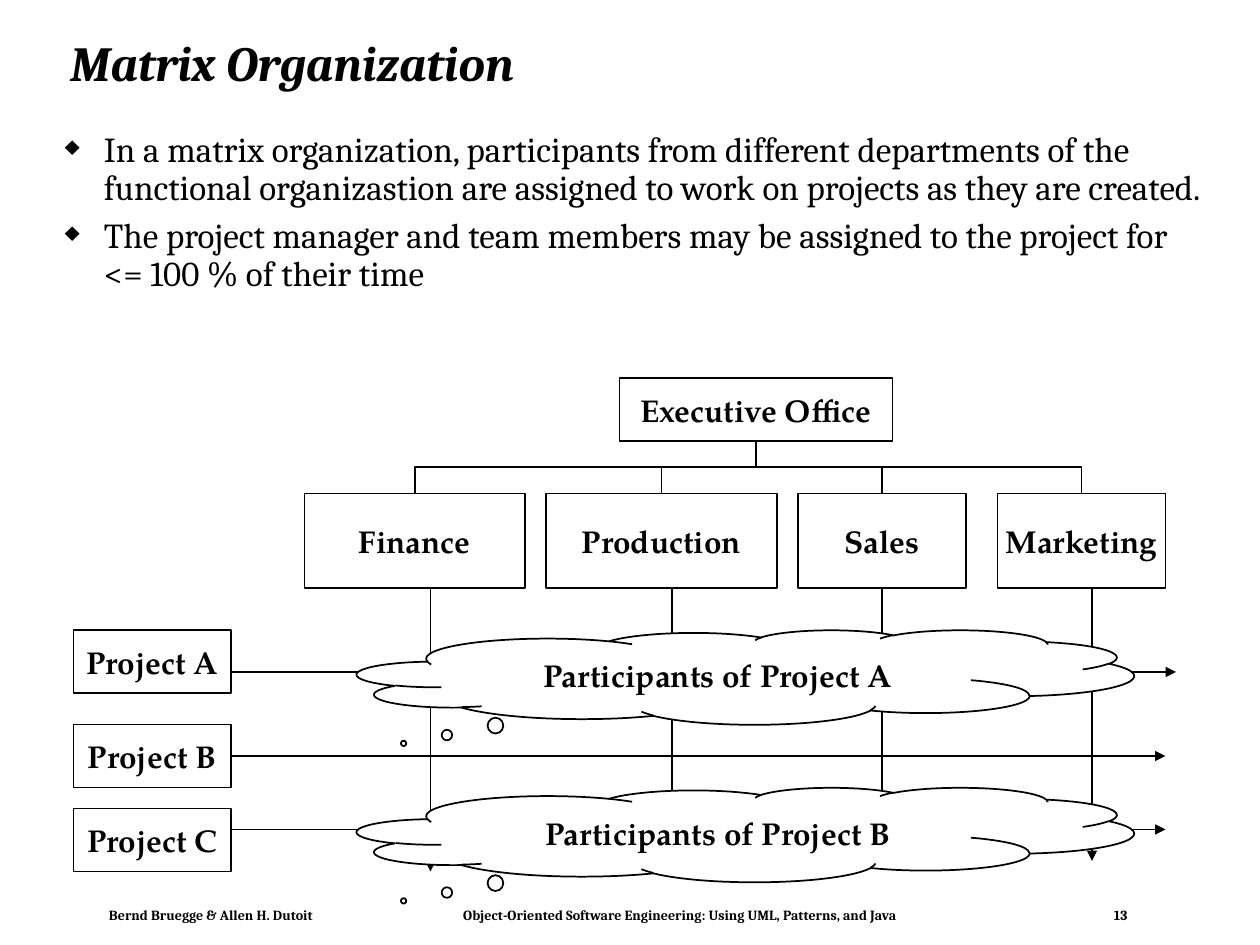
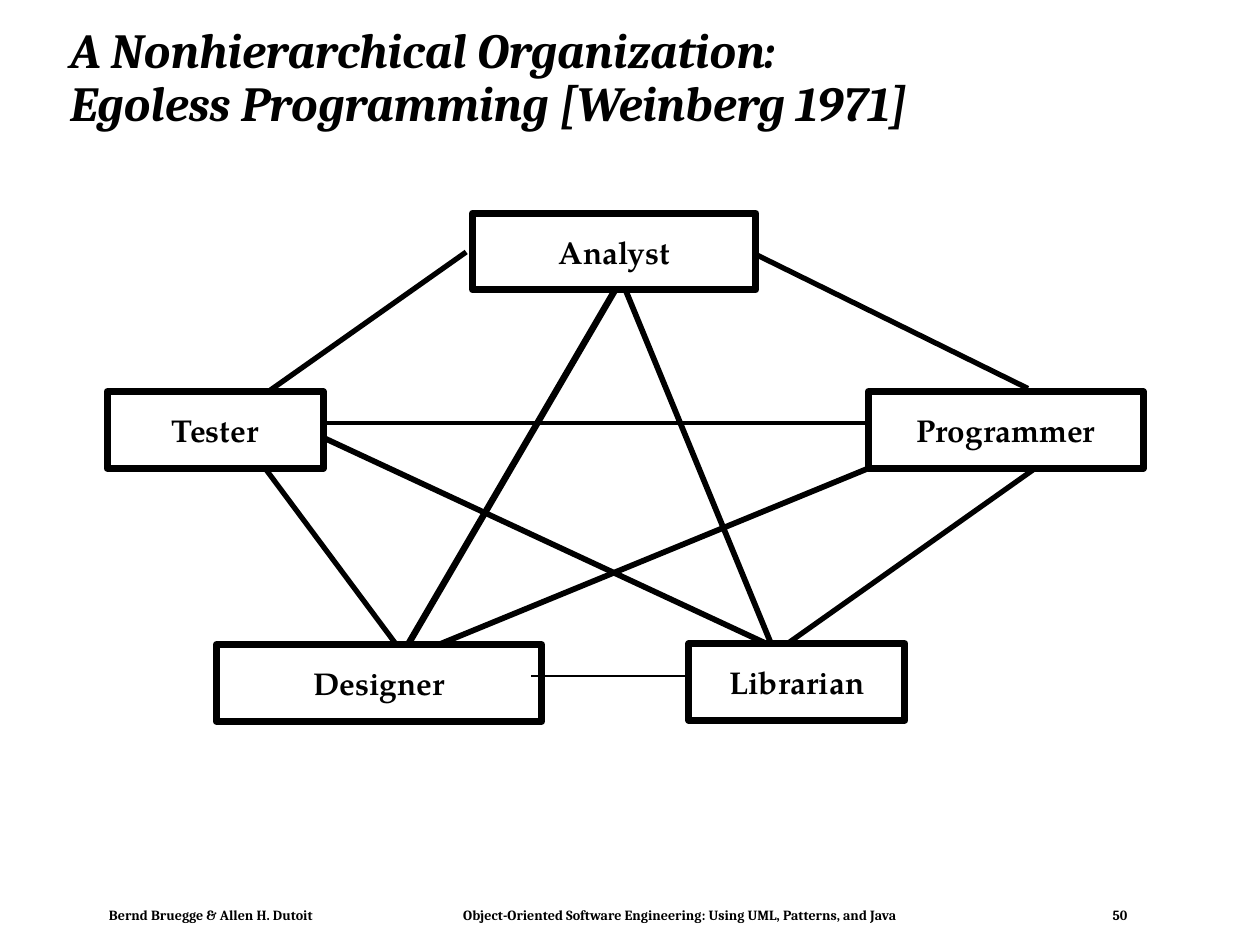
from dataclasses import dataclass

from lxml.etree import SubElement
from pptx import Presentation
from pptx.dml.color import RGBColor
from pptx.enum.shapes import MSO_CONNECTOR as Link, MSO_SHAPE as Preset
from pptx.enum.text import MSO_ANCHOR as Anchor, PP_ALIGN as Align
from pptx.oxml.ns import qn
from pptx.util import Emu, Inches, Pt

COLORS = {"ink": "000000", "paper": "FFFFFF"}
TEXT_FONT, DIAGRAM_FONT = "Cambria", "TeX Gyre Pagella"
COLUMNS = 120  # square grid cells across the slide, 90 down


@dataclass
class Box:
    label: str
    left: float
    top: float
    width: float
    height: float
    line: float = 1
    preset: Preset = Preset.RECTANGLE

    @property
    def middle(self) -> float:
        return self.left + self.width / 2

    @property
    def bottom(self) -> float:
        return self.top + self.height


@dataclass
class Line:
    x1: float
    y1: float
    x2: float
    y2: float
    width: float = 1
    arrow: bool = False


deck = Presentation()
deck.slide_width, deck.slide_height = Inches(10), Inches(7.5)


def cells(*counts: float) -> list[Emu]:
    return [Emu(round(n * deck.slide_width / COLUMNS)) for n in counts]


def color(name: str) -> RGBColor:
    return RGBColor.from_string(COLORS[name])


# Text
def write(shape, *paragraphs: str, font=TEXT_FONT, size=18, bold=False, italic=False,
          align=Align.LEFT, anchor=Anchor.TOP, wrap=True, spacing=1.0, before=0,
          bullet="", tabs=()) -> None:
    frame = shape.text_frame
    frame.word_wrap, frame.vertical_anchor = wrap, anchor
    for index, content in enumerate(paragraphs):
        paragraph = frame.add_paragraph() if index else frame.paragraphs[0]
        paragraph.text, paragraph.alignment = content, align
        paragraph.line_spacing, paragraph.space_before = spacing, Pt(before)
        for run in paragraph.runs:
            run.font.name, run.font.size = font, Pt(size)
            run.font.bold, run.font.italic = bold, italic
            run.font.color.rgb = color("ink")
        properties = paragraph._p.get_or_add_pPr()
        if bullet:
            indent = Inches(0.31)
            properties.set("marL", str(indent))
            properties.set("indent", str(-indent))
            SubElement(properties, qn("a:buSzPct"), val="75000")
            SubElement(properties, qn("a:buChar"), char=bullet)
        if tabs:
            stops = SubElement(properties, qn("a:tabLst"))
            for column, side in tabs:
                SubElement(stops, qn("a:tab"), pos=str(cells(column)[0]), algn=side)


def add_text(slide, place: tuple, *paragraphs: str, **text_format) -> None:
    write(slide.shapes.add_textbox(*cells(*place)), *paragraphs, **text_format)


# Boxes and lines
def add_box(slide, box: Box):
    shape = slide.shapes.add_shape(
        box.preset, *cells(box.left, box.top, box.width, box.height))
    shape.shadow.inherit = False
    shape.fill.solid()
    shape.fill.fore_color.rgb = color("paper")
    shape.line.color.rgb, shape.line.width = color("ink"), Pt(box.line)
    write(shape, box.label, font=DIAGRAM_FONT, bold=True, align=Align.CENTER,
          anchor=Anchor.MIDDLE, wrap=False)
    return shape


def add_line(slide, line: Line, kind: Link = Link.STRAIGHT):
    connector = slide.shapes.add_connector(
        kind, *cells(line.x1, line.y1, line.x2, line.y2))
    connector.line.color.rgb, connector.line.width = color("ink"), Pt(line.width)
    if line.arrow:
        SubElement(connector.line._get_or_add_ln(), qn("a:tailEnd"), type="triangle")
    SubElement(connector._element.spPr, qn("a:effectLst"))
    return connector


def add_branch(slide, parent: Box, child: Box) -> None:
    """Elbow that leaves the parent downwards: a sideways elbow, turned."""
    drop, shift = child.top - parent.bottom, child.middle - parent.middle
    x, y = (parent.middle + child.middle) / 2, (parent.bottom + child.top) / 2
    half = drop / 2 if shift < 0 else -drop / 2
    reach = abs(shift) / 2
    elbow = add_line(slide, Line(x - half, y - reach, x + half, y + reach), Link.ELBOW)
    turn = 90 if shift < 0 else 270
    elbow._element.spPr.find(qn("a:xfrm")).set("rot", str(turn * 60000))


# Shared slide frame
def add_slide(title: str, title_height: float, number: int):
    slide = deck.slides.add_slide(deck.slide_layouts[6])
    slide.background.fill.solid()
    slide.background.fill.fore_color.rgb = color("paper")
    footer = "\t".join((
        "Bernd Bruegge & Allen H. Dutoit",
        "Object-Oriented Software Engineering: Using UML, Patterns, and Java",
        str(number)))
    add_text(slide, (9.2, 85.7, 100, 2.5), footer, size=8, bold=True,
             tabs=((54.4, "ctr"), (97, "r")))
    add_text(slide, (5.5, 2.9, 107, title_height), title, size=28, bold=True,
             italic=True, anchor=Anchor.MIDDLE, spacing=0.9)
    return slide


# Slide: matrix organization
matrix = add_slide("Matrix Organization", 6.6, 13)
add_text(
    matrix, (5, 12, 111, 25),
    "In a matrix organization, participants from different departments of the "
    "functional organizastion are assigned to work on projects as they are created.",
    "The project manager and team members may be assigned to the project for "
    "<= 100 % of their time",
    size=20, spacing=0.9, before=6, bullet="♦")

office = Box("Executive Office", 59, 36, 26, 6)
departments = [Box(name, left, 47, width, 9) for name, left, width in (
    ("Finance", 29, 21), ("Production", 52, 22), ("Sales", 76, 16), ("Marketing", 95, 16))]
projects = [Box(f"Project {letter}", 7, top, 15, 6)
            for letter, top in (("A", 60), ("B", 69), ("C", 77))]
clouds = [Box(f"Participants of Project {letter}", 34, top, 74, 9,
              preset=Preset.CLOUD_CALLOUT) for letter, top in (("A", 60), ("B", 75))]

for box in (office, *departments):
    add_box(matrix, box)
for department in departments:
    add_branch(matrix, office, department)
for x, end in ((41, 83), (64, 82), (84, 81), (104, 82)):
    add_line(matrix, Line(x, departments[0].bottom, x, end, arrow=True))
for y, end in ((64, 112), (72, 111), (79, 111)):
    add_line(matrix, Line(22, y, end, y, arrow=True))
for project in projects:
    add_box(matrix, project)
for cloud in clouds:
    callout = add_box(matrix, cloud)
    callout.adjustments[0], callout.adjustments[1] = -0.44, 0.7

# Slide: egoless programming
egoless = add_slide(
    "A Nonhierarchical Organization: \vEgoless Programming [Weinberg 1971]", 9.2, 50)
roles = [Box(name, left, top, width, 7.3, line=4) for name, left, top, width in (
    ("Analyst", 45, 20.3, 27), ("Designer", 20.6, 61.4, 31),
    ("Librarian", 65.6, 61.3, 20.6), ("Tester", 10.2, 37.3, 20.6),
    ("Programmer", 82.7, 37.3, 26.2))]
links = [
    Line(71.3, 23.9, 97.9, 37, 3),        # Analyst - Programmer
    Line(98.6, 44.6, 74, 62, 3),          # Programmer - Librarian
    Line(59, 26.9, 38.5, 62, 3.75),       # Analyst - Designer
    Line(59.4, 27.2, 73.6, 61.7, 3.25),   # Analyst - Librarian
    Line(44.4, 24, 25.4, 37.4, 3),        # Analyst - Tester
    Line(30.4, 41.5, 74.5, 62, 3.25),     # Tester - Librarian
    Line(40.3, 62, 93.2, 40.3, 3.25),     # Designer - Programmer
    Line(25.1, 44.4, 38.2, 62, 3),        # Tester - Designer
    Line(30.5, 40.3, 92.8, 40.3, 2),      # Tester - Programmer
]
for link in links:
    add_line(egoless, link)
for role in roles:
    add_box(egoless, role)
add_line(egoless, Line(65.5, 64.4, 50.6, 64.4))  # Librarian - Designer

deck.save("out.pptx")
